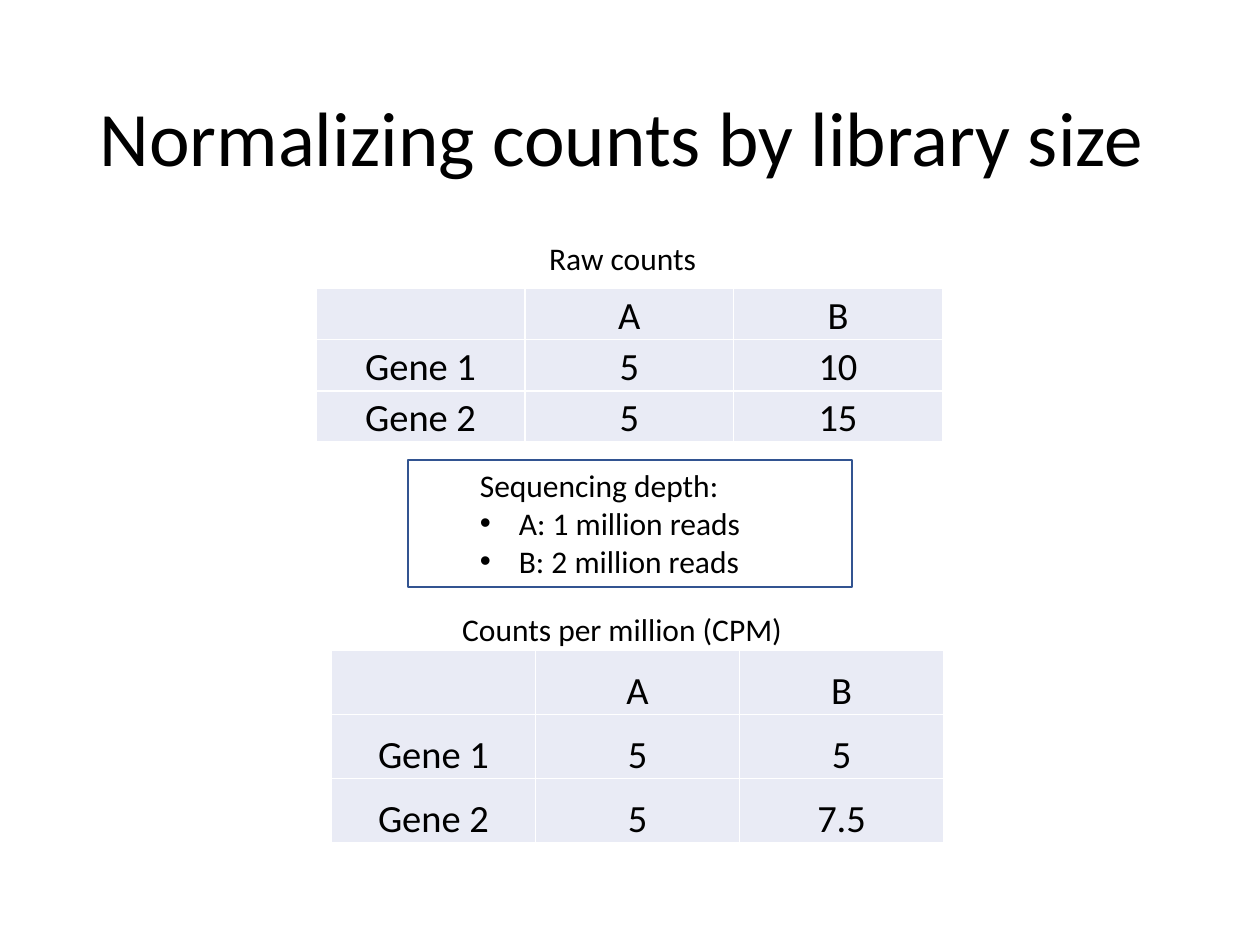
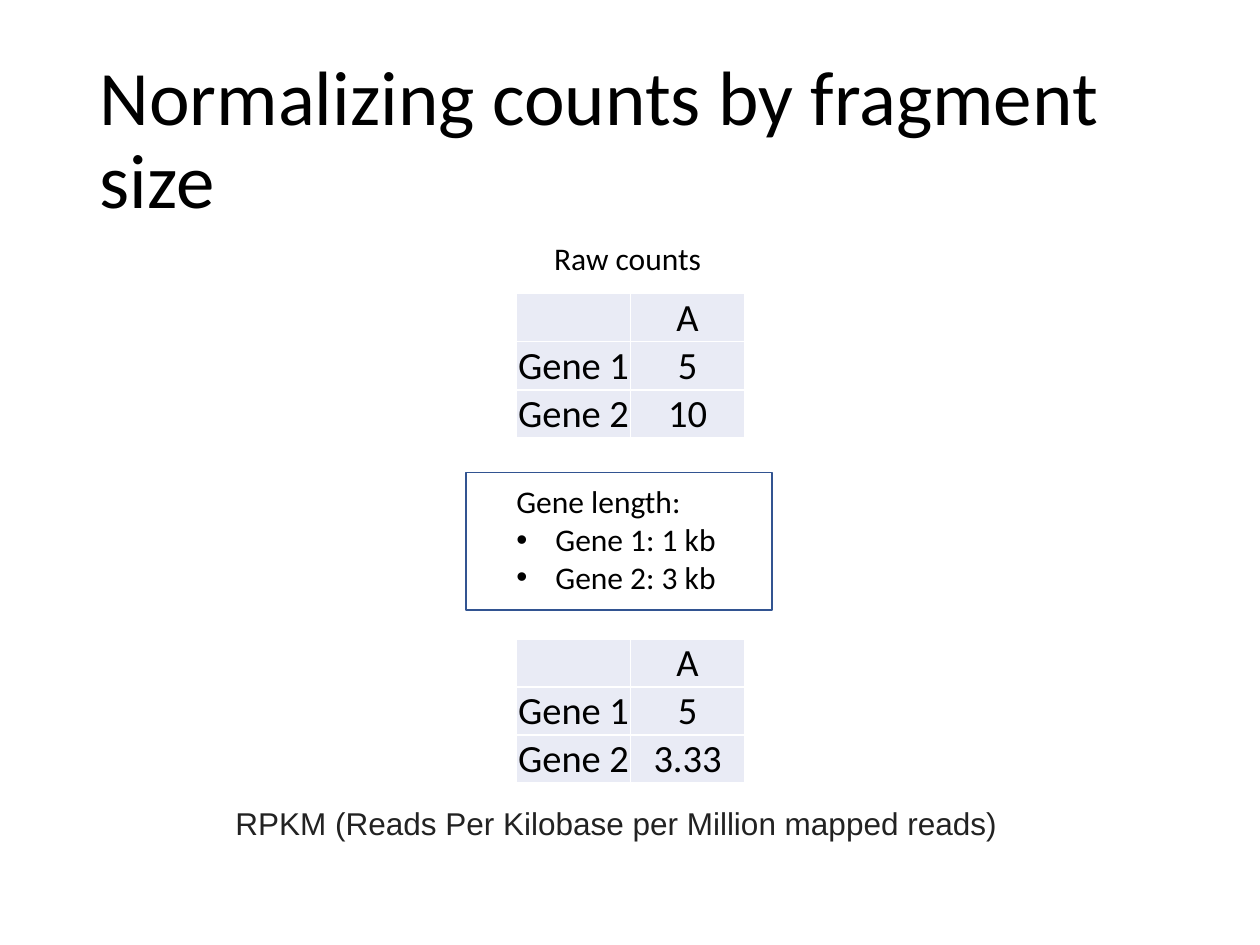
from dataclasses import dataclass

import pptx
import pptx.dml.color
import pptx.enum.text
import pptx.oxml
import pptx.oxml.ns
import pptx.presentation
import pptx.shapes.autoshape
import pptx.slide
import pptx.text.text
import pptx.util
from pptx.util import Inches

BLACK = "000000"
DARK_GREY = "222222"
WHITE = "FFFFFF"
CELL_FILL = "E9EBF5"
FRAME_LINE = "325491"
BODY_FONT = "Calibri"
TITLE_ONLY_LAYOUT = 5
BULLET_INDENT = Inches(0.31)


@dataclass
class Area:
    left: float
    top: float
    width: float
    height: float

    def lengths(self) -> list[pptx.util.Length]:
        return [Inches(side) for side in (self.left, self.top, self.width, self.height)]


@dataclass
class CountTable:
    area: Area
    rows: list[list[str]]


@dataclass
class Label:
    area: Area
    text: str
    font: str = BODY_FONT
    color: str = BLACK


@dataclass
class FramedList:
    frame: Area
    text_area: Area
    heading: str
    items: list[str]


@dataclass
class NormalizationPage:
    title: str
    tables: list[CountTable]
    labels: list[Label]
    factors: FramedList


TITLE_AREA = Area(0.69, 0.4, 8.62, 1.45)

PAGES = [
    NormalizationPage(
        title="Normalizing counts by library size",
        tables=[
            CountTable(Area(2.51, 2.29, 4.97, 1.22),
                       [["", "A", "B"], ["Gene 1", "5", "10"], ["Gene 2", "5", "15"]]),
            CountTable(Area(2.63, 5.16, 4.86, 1.53),
                       [["", "A", "B"], ["Gene 1", "5", "5"], ["Gene 2", "5", "7.5"]]),
        ],
        labels=[
            Label(Area(4.26, 1.85, 1.47, 0.4), "Raw counts"),
            Label(Area(3.57, 4.79, 2.87, 0.4), "Counts per million (CPM)"),
        ],
        factors=FramedList(Area(3.24, 3.65, 3.52, 1.01), Area(3.71, 3.65, 2.59, 1.01),
                           "Sequencing depth:",
                           ["A: 1 million reads", "B: 2 million reads"]),
    ),
    NormalizationPage(
        title="Normalizing counts by fragment size",
        tables=[
            CountTable(Area(4.1, 2.33, 1.81, 1.12),
                       [["", "A"], ["Gene 1", "5"], ["Gene 2", "10"]]),
            CountTable(Area(4.1, 5.07, 1.81, 1.12),
                       [["", "A"], ["Gene 1", "5"], ["Gene 2", "3.33"]]),
        ],
        labels=[
            Label(Area(4.3, 1.85, 1.4, 0.4), "Raw counts"),
            Label(Area(1.77, 6.33, 6.46, 0.4),
                  "RPKM (Reads Per Kilobase per Million mapped reads)",
                  font="Arial", color=DARK_GREY),
        ],
        factors=FramedList(Area(3.7, 3.75, 2.43, 1.09), Area(4, 3.78, 1.99, 1.01),
                           "Gene length:", ["Gene 1: 1 kb", "Gene 2: 3 kb"]),
    ),
]


def rgb(color: str) -> pptx.dml.color.RGBColor:
    return pptx.dml.color.RGBColor.from_string(color)


def write(para: pptx.text.text._Paragraph, text: str, *, size: float = 18,
          font: str = BODY_FONT, color: str = BLACK,
          align: pptx.enum.text.PP_ALIGN = pptx.enum.text.PP_ALIGN.LEFT) -> None:
    para.alignment = align
    span = para.add_run()
    span.text = text
    span.font.size = pptx.util.Pt(size)
    span.font.name = font
    span.font.color.rgb = rgb(color)


def add_title(page: pptx.slide.Slide, text: str) -> None:
    title = page.shapes.title
    title.left, title.top, title.width, title.height = TITLE_AREA.lengths()
    frame = title.text_frame
    frame.auto_size = pptx.enum.text.MSO_AUTO_SIZE.NONE
    frame.vertical_anchor = pptx.enum.text.MSO_ANCHOR.MIDDLE
    para = frame.paragraphs[0]
    para.line_spacing = 0.9
    write(para, text, size=44)


def add_text_box(page: pptx.slide.Slide, area: Area) -> pptx.text.text.TextFrame:
    frame = page.shapes.add_textbox(*area.lengths()).text_frame
    frame.word_wrap = True
    frame.auto_size = pptx.enum.text.MSO_AUTO_SIZE.SHAPE_TO_FIT_TEXT
    return frame


def add_label(page: pptx.slide.Slide, label: Label) -> None:
    frame = add_text_box(page, label.area)
    write(frame.paragraphs[0], label.text, font=label.font, color=label.color)


def set_bullet(para: pptx.text.text._Paragraph) -> None:
    properties = para._p.get_or_add_pPr()
    properties.set("marL", str(BULLET_INDENT))
    properties.set("indent", str(-BULLET_INDENT))
    namespace = pptx.oxml.ns.nsdecls("a")
    for tag in ('buFont typeface="Arial"', 'buChar char="•"'):
        properties.append(pptx.oxml.parse_xml(f"<a:{tag} {namespace}/>"))


def add_framed_list(page: pptx.slide.Slide, factors: FramedList) -> None:
    frame = add_text_box(page, factors.text_area)
    write(frame.paragraphs[0], factors.heading)
    for item in factors.items:
        para = frame.add_paragraph()
        set_bullet(para)
        write(para, item)

    box = page.shapes.add_shape(
        pptx.enum.shapes.MSO_SHAPE.RECTANGLE, *factors.frame.lengths())
    box.shadow.inherit = False
    box.fill.background()
    box.line.color.rgb = rgb(FRAME_LINE)
    box.line.width = pptx.util.Pt(1)


def set_borders(cell: pptx.table._Cell) -> None:
    properties = cell._tc.get_or_add_tcPr()
    for side in ("lnL", "lnR", "lnT", "lnB"):
        properties.append(pptx.oxml.parse_xml(
            f'<a:{side} {pptx.oxml.ns.nsdecls("a")} w="{pptx.util.Pt(1)}">'
            f'<a:solidFill><a:srgbClr val="{WHITE}"/></a:solidFill></a:{side}>'))


def format_cell(cell: pptx.table._Cell, text: str) -> None:
    set_borders(cell)
    cell.fill.solid()
    cell.fill.fore_color.rgb = rgb(CELL_FILL)
    cell.margin_left = cell.margin_right = cell.margin_top = Inches(0.01)
    cell.margin_bottom = 0
    cell.vertical_anchor = pptx.enum.text.MSO_ANCHOR.BOTTOM
    if text:
        write(cell.text_frame.paragraphs[0], text, size=22,
              align=pptx.enum.text.PP_ALIGN.CENTER)


def add_count_table(page: pptx.slide.Slide, counts: CountTable) -> None:
    table = page.shapes.add_table(
        len(counts.rows), len(counts.rows[0]), *counts.area.lengths()).table
    table.first_row = False
    table.horz_banding = False
    for row, texts in enumerate(counts.rows):
        for column, text in enumerate(texts):
            format_cell(table.cell(row, column), text)


def add_page(deck: pptx.presentation.Presentation, content: NormalizationPage) -> None:
    page = deck.slides.add_slide(deck.slide_layouts[TITLE_ONLY_LAYOUT])
    add_title(page, content.title)
    for counts in content.tables:
        add_count_table(page, counts)
    for label in content.labels:
        add_label(page, label)
    add_framed_list(page, content.factors)


def main() -> None:
    deck = pptx.Presentation()
    deck.slide_width = Inches(10)
    deck.slide_height = Inches(7.5)
    for content in PAGES:
        add_page(deck, content)
    deck.save("out.pptx")


if __name__ == "__main__":
    main()
